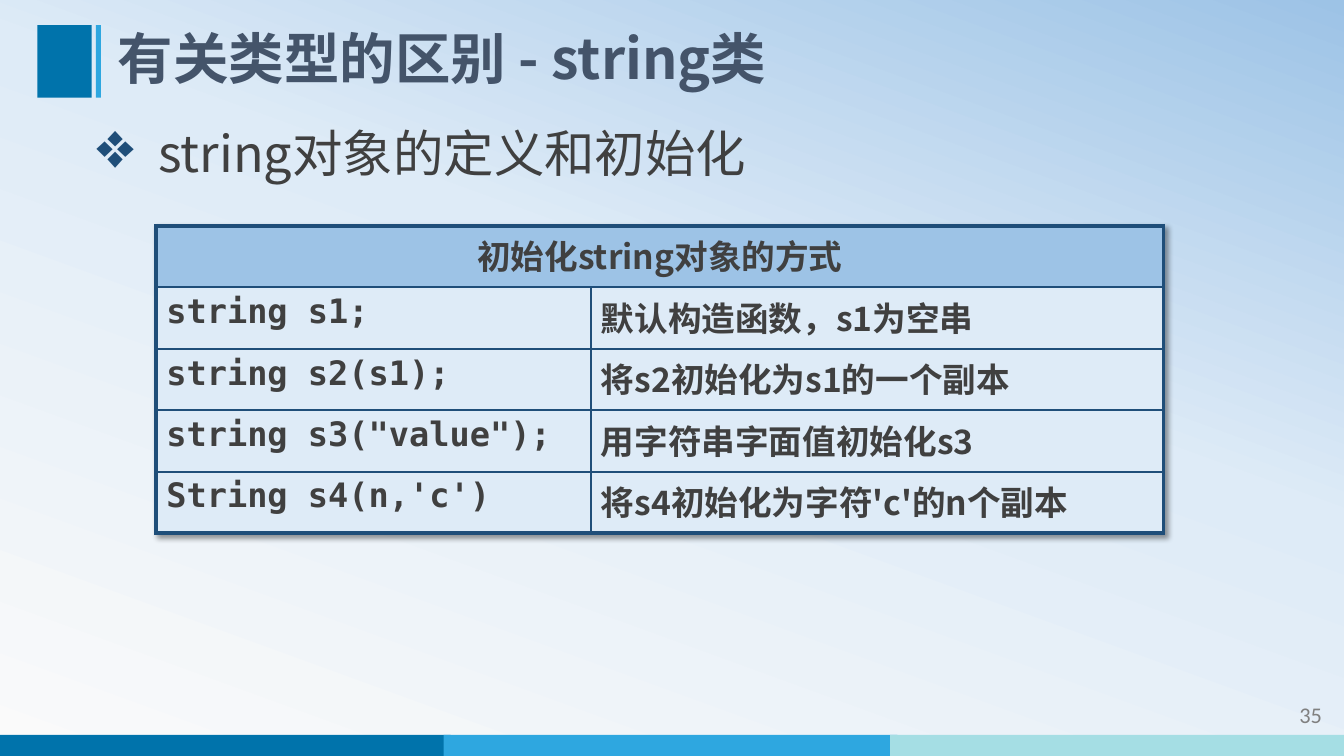
from copy import deepcopy

from lxml.etree import SubElement
from pptx import Presentation
from pptx.dml.color import RGBColor
from pptx.enum.shapes import MSO_SHAPE as Shape
from pptx.enum.text import MSO_ANCHOR as Anchor, PP_ALIGN as Align
from pptx.oxml import parse_xml
from pptx.oxml.ns import nsdecls, qn
from pptx.util import Inches, Pt

WIDTH, HEIGHT = 13.33, 7.5
SANS, MONO = "Noto Sans CJK SC", "DejaVu Sans Mono"
COLORS = {
    "deep": "0073AB", "bright": "2EA7E0", "aqua": "A5DEE4",
    "title": "44546A", "text": "404040", "number": "808080",
    "navy": "1F4E79", "header": "9DC3E6", "cell": "DEEBF7", "white": "FAFAFA",
}
HEADER = "初始化string对象的方式"
ROWS = [
    ("string s1;", "默认构造函数，s1为空串"),
    ("string s2(s1);", "将s2初始化为s1的一个副本"),
    ('string s3("value");', "用字符串字面值初始化s3"),
    ("String s4(n,'c')", "将s4初始化为字符'c'的n个副本"),
]


def rgb(name):
    """Return the named colour."""
    return RGBColor.from_string(COLORS[name])


def write(frame, text, size=24, font=SANS, color="text", bold=False,
          align=Align.LEFT, anchor=Anchor.TOP, spacing=None, bullet=None):
    """Put one formatted paragraph into a text frame."""
    frame.word_wrap = True
    frame.vertical_anchor = anchor
    para = frame.paragraphs[0]
    para.alignment = align
    if spacing:
        para.line_spacing = spacing
    if bullet:
        props = para._p.get_or_add_pPr()
        props.set("marL", str(Inches(0.5)))
        props.set("indent", str(-Inches(0.5)))
        tint = SubElement(props, qn("a:buClr"))
        SubElement(tint, qn("a:srgbClr"), val=COLORS["navy"])
        SubElement(props, qn("a:buSzPct"), val="130000")
        SubElement(props, qn("a:buChar"), char=bullet)
    span = para.add_run()
    span.text = text
    span.font.size = Pt(size)
    span.font.bold = bold
    span.font.color.rgb = rgb(color)
    span.font.name = font
    SubElement(span._r.get_or_add_rPr(), qn("a:ea"), typeface=font)


def add_text(page, box, text, **look):
    """Add a text box with formatted text."""
    write(page.shapes.add_textbox(*map(Inches, box)).text_frame, text, **look)


def add_block(page, box, color):
    """Add a plain filled rectangle."""
    block = page.shapes.add_shape(Shape.RECTANGLE, *map(Inches, box))
    block.shadow.inherit = False
    block.fill.solid()
    block.fill.fore_color.rgb = rgb(color)
    block.line.fill.background()


def add_background(page):
    """Fill the page with a slanted three-stop gradient."""
    fill = page.background.fill
    fill.gradient()
    fill.gradient_angle = 70
    first = page.element.xpath(".//a:gsLst/a:gs")[0]
    first.addnext(deepcopy(first))
    stops = [(0, "white"), (0.58, "cell"), (1, "header")]
    for stop, (position, color) in zip(fill.gradient_stops, stops):
        stop.position = position
        stop.color.rgb = rgb(color)


def add_footer(page, box):
    """Add three overlapping stripes and the page number above them."""
    left, top, width, height = box
    stripe = 4.5
    step = (width - stripe) / 2
    for index, color in enumerate(("deep", "bright", "aqua")):
        add_block(page, (left + index * step, top, stripe, height), color)
    add_text(page, (left + width - 1.71, top - 0.38, 1.59, 0.4), "35",
             size=16, font="Calibri", color="number", align=Align.RIGHT)


def add_heading(page, box, text):
    """Add the two marker bars and the title beside them."""
    left, top, width, height = box
    add_block(page, (left, top, 0.54, height), "deep")
    add_block(page, (left + 0.58, top, 0.05, height), "bright")
    add_text(page, (left + 0.7, top, width - 0.7, height), text, size=39.6,
             color="title", bold=True, anchor=Anchor.MIDDLE, spacing=0.9)


def style_cell(cell, color, **edges):
    """Fill a cell and draw its borders with the given widths."""
    props = cell._tc.get_or_add_tcPr()
    for side in ("L", "R", "T", "B"):
        line = SubElement(props, qn(f"a:ln{side}"), w=str(Pt(edges[side])))
        paint = SubElement(line, qn("a:solidFill"))
        SubElement(paint, qn("a:srgbClr"), val=COLORS["navy"])
    cell.fill.solid()
    cell.fill.fore_color.rgb = rgb(color)


def add_ways(page, box):
    """Add the shadowed table of ways to initialise a string."""
    left, top, width, height = box
    count = len(ROWS) + 1
    table = page.shapes.add_table(count, 2, *map(Inches, box)).table
    table.first_row = table.horz_banding = False
    table._tbl.tblPr.insert(0, parse_xml(
        f'<a:effectLst {nsdecls("a")}><a:outerShdw blurRad="50800" dist="38100" '
        'dir="2700000" algn="tl" rotWithShape="0"><a:prstClr val="black">'
        '<a:alpha val="40000"/></a:prstClr></a:outerShdw></a:effectLst>'))
    for column, length in zip(table.columns, (4.31, width - 4.31)):
        column.width = Inches(length)
    for row in table.rows:
        row.height = Inches(height / count)
    table.cell(0, 0).merge(table.cell(0, 1))
    for row in range(count):
        for column in range(2):
            style_cell(table.cell(row, column), "cell" if row else "header",
                       L=1.5 if column else 3,
                       R=3 if column or not row else 1.5,
                       T=1.5 if row else 3,
                       B=3 if row == count - 1 else 1.5)
    write(table.cell(0, 0).text_frame, HEADER, bold=True, align=Align.CENTER)
    for row, texts in enumerate(ROWS, 1):
        for column, (text, font) in enumerate(zip(texts, (MONO, SANS))):
            write(table.cell(row, column).text_frame, text, font=font, bold=True)


def main():
    """Build the slide and save the deck."""
    deck = Presentation()
    deck.slide_width, deck.slide_height = Inches(WIDTH), Inches(HEIGHT)
    page = deck.slides.add_slide(deck.slide_layouts[6])
    add_background(page)
    add_footer(page, (-0.03, HEIGHT - 0.21, WIDTH + 0.03, 0.21))
    add_heading(page, (0.37, 0.25, 11.56, 0.72), "有关类型的区别 - string类")
    add_text(page, (0.86, 1.16, 11.29, 0.71), " string对象的定义和初始化",
             size=36, bullet="❖")
    add_ways(page, (1.55, 2.24, 9.99, 3.05))
    deck.save("out.pptx")


if __name__ == "__main__":
    main()
